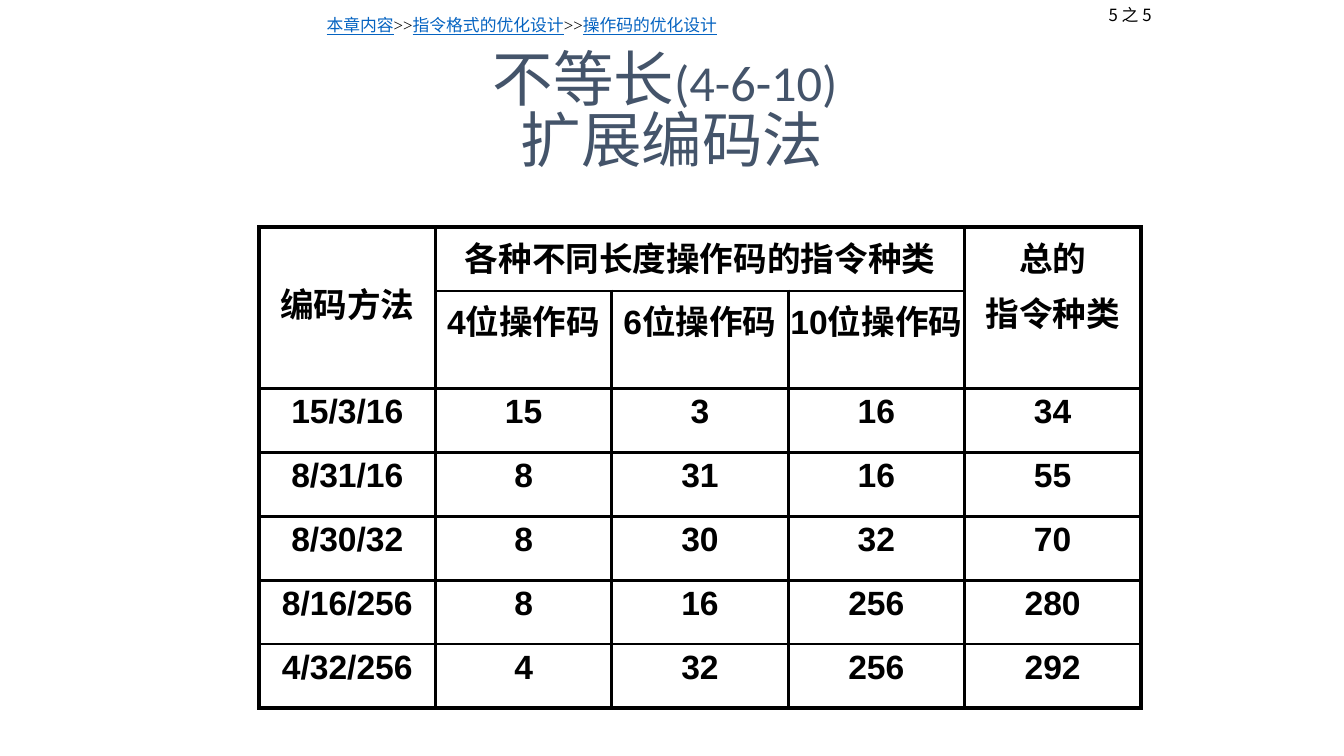
from lxml.etree import SubElement
from pptx import Presentation
from pptx.dml.color import RGBColor
from pptx.enum.lang import MSO_LANGUAGE_ID
from pptx.enum.text import MSO_ANCHOR, MSO_AUTO_SIZE, PP_ALIGN
from pptx.oxml.ns import qn
from pptx.util import Cm, Pt


def add_span(para, text, color, **formats):
    span = para.add_run()
    span.text = text
    span.font.color.rgb = RGBColor.from_string(color)
    span.font.language_id = MSO_LANGUAGE_ID.SIMPLIFIED_CHINESE
    for name, value in formats.items():
        setattr(span.font, name, value)
    SubElement(span.font._element, qn("a:ea"), typeface="Noto Sans CJK SC")


def set_border(cell, side, width):
    line = SubElement(cell._tc.get_or_add_tcPr(), qn(f"a:ln{side}"), w=str(Pt(width)))
    fill = SubElement(line, qn("a:solidFill"))
    SubElement(fill, qn("a:srgbClr"), val=BLACK)


BLACK, LINK_BLUE, TITLE_BLUE = "000000", "0563C1", "44546A"

deck = Presentation()
deck.slide_width, deck.slide_height = Cm(33.87), Cm(19.05)
page = deck.slides.add_slide(deck.slide_layouts[5])

title = page.shapes.title
title.left, title.top, title.width, title.height = Cm(2.33), Cm(1.02), Cm(29.21), Cm(3.68)
title.text_frame.auto_size = MSO_AUTO_SIZE.NONE
title.text_frame.vertical_anchor = MSO_ANCHOR.MIDDLE
para = title.text_frame.paragraphs[0]
para.alignment = PP_ALIGN.CENTER
para.line_spacing = 0.85
large = {"name": "Calibri", "size": Pt(43.2)}
add_span(para, "不等长", TITLE_BLUE, **large)
add_span(para, "(4-6-10)", TITLE_BLUE, name="Calibri", size=Pt(36))
add_span(para, " ", TITLE_BLUE, **large)
para.add_line_break()
add_span(para, "扩展编码法", TITLE_BLUE, **large)

breadcrumb = page.shapes.add_textbox(Cm(7.98), Cm(0.25), Cm(21.03), Cm(0.76))
breadcrumb.text_frame.word_wrap = True
for text in ["本章内容", ">>", "指令格式的优化设计", ">>", "操作码的优化设计"]:
    linked = text != ">>"
    add_span(breadcrumb.text_frame.paragraphs[0], text, LINK_BLUE if linked else BLACK,
             name="Times New Roman", size=Pt(12), underline=linked)

counter = page.shapes.add_textbox(Cm(27.31), Cm(0), Cm(2.34), Cm(0.76))
counter.text_frame.word_wrap = True
para = counter.text_frame.paragraphs[0]
para.alignment = PP_ALIGN.CENTER
add_span(para, "5 之 5", BLACK, name="Noto Sans CJK SC", size=Pt(12))

rows = [
    ["编码方法", "各种不同长度操作码的指令种类", "", "", "总的\n指令种类"],
    ["", "4位操作码", "6位操作码", "10位操作码", ""],
    ["15/3/16", "15", "3", "16", "34"],
    ["8/31/16", "8", "31", "16", "55"],
    ["8/30/32", "8", "30", "32", "70"],
    ["8/16/256", "8", "16", "256", "280"],
    ["4/32/256", "4", "32", "256", "292"],
]
last_row, last_column = len(rows) - 1, len(rows[0]) - 1
table = page.shapes.add_table(len(rows), len(rows[0]), Cm(6.53), Cm(5.72),
                              Cm(22.22), Cm(11.28)).table
table.first_row = table.horz_banding = False

for r, texts in enumerate(rows):
    for c, text in enumerate(texts):
        cell = table.cell(r, c)
        cell.margin_left = cell.margin_right = 0
        outer = {"L": c == 0, "R": c == last_column, "T": r == 0, "B": r == last_row}
        for side, is_outer in outer.items():
            set_border(cell, side, 3 if is_outer else 2.25)
        cell.fill.background()
        for index, line in enumerate(text.split("\n") if text else []):
            frame = cell.text_frame
            para = frame.add_paragraph() if index else frame.paragraphs[0]
            para.alignment = PP_ALIGN.CENTER
            if index:
                para.space_before = Pt(4.8)
            add_span(para, line, BLACK, name="Arial", size=Pt(24), bold=True)

for first, last in [((0, 0), (1, 0)), ((0, 1), (0, 3)), ((0, 4), (1, 4))]:
    table.cell(*first).merge(table.cell(*last))
method = table.cell(0, 0)
method.vertical_anchor = MSO_ANCHOR.MIDDLE
method.margin_bottom = Cm(0.38)

deck.save("out.pptx")
